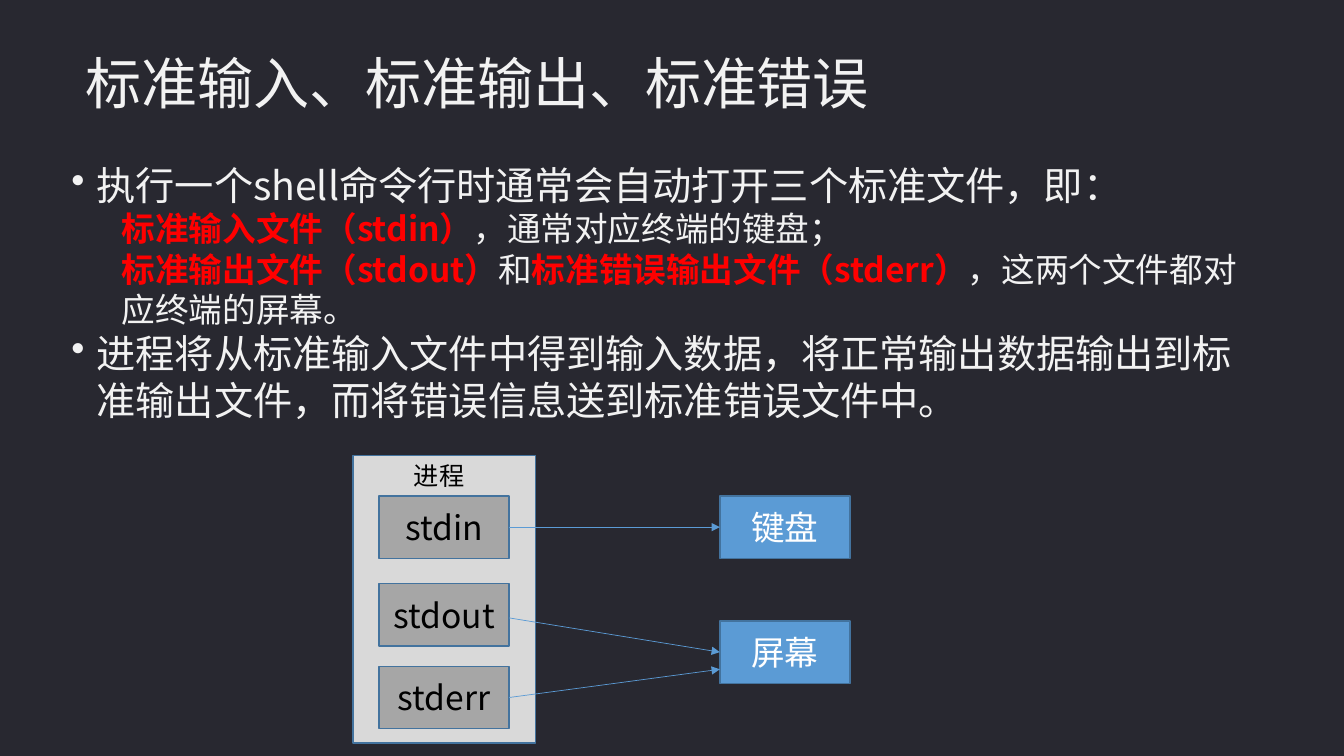
from pptx import Presentation
from pptx.dml.color import RGBColor
from pptx.enum.shapes import MSO_CONNECTOR, MSO_SHAPE
from pptx.enum.text import MSO_ANCHOR, PP_ALIGN
from pptx.oxml.ns import qn
from pptx.util import Inches, Pt
from lxml.etree import SubElement

FONT = "Noto Sans CJK SC"
COLORS = {
    "background": "282830", "light": "F2F2F2", "accent": "FF0000",
    "process": "D9D9D9", "stream": "A6A6A6", "device": "5B9BD5",
    "border": "43739E", "black": "000000", "white": "FFFFFF",
}
BOX_WIDTH, BOX_HEIGHT = 1.29, 0.62
STREAM_LEFT, DEVICE_LEFT = 3.76, 7.14


def color(name):
    return RGBColor.from_string(COLORS[name])


def style_paragraph(paragraph, size, color_name=None, align=PP_ALIGN.LEFT):
    paragraph.alignment = align
    font = paragraph.font
    font.name, font.size = FONT, Pt(size)
    if color_name:
        font.color.rgb = color(color_name)
    defaults = paragraph._p.pPr.find(qn("a:defRPr"))
    SubElement(defaults, qn("a:ea"), typeface=FONT)


def add_text_frame(slide, left, top, width, height):
    frame = slide.shapes.add_textbox(
        Inches(left), Inches(top), Inches(width), Inches(height)).text_frame
    frame.word_wrap = True
    return frame


def add_label(slide, text, left, top, width, height, size, color_name, align=PP_ALIGN.LEFT):
    paragraph = add_text_frame(slide, left, top, width, height).paragraphs[0]
    paragraph.text = text
    style_paragraph(paragraph, size, color_name, align)
    return paragraph


def add_body_paragraph(paragraph, runs, bulleted):
    """Each run is a text and whether it is highlighted."""
    style_paragraph(paragraph, 28 if bulleted else 24)
    paragraph.level = 0 if bulleted else 1
    properties = paragraph._p.pPr
    properties.set("marL", str(Inches(0.25 if bulleted else 0.5)))
    properties.set("indent", str(Inches(-0.25 if bulleted else 0)))
    if bulleted:
        bullet = SubElement(properties, qn("a:buChar"), char="•")
        properties.find(qn("a:defRPr")).addprevious(bullet)
    for text, highlighted in runs:
        run = paragraph.add_run()
        run.text = text
        run.font.bold = highlighted
        run.font.color.rgb = color("accent" if highlighted else "light")


def add_box(slide, left, top, width, height, fill, text="", text_color="black"):
    box = slide.shapes.add_shape(
        MSO_SHAPE.RECTANGLE, Inches(left), Inches(top), Inches(width), Inches(height))
    box.shadow.inherit = False
    box.fill.solid()
    box.fill.fore_color.rgb = color(fill)
    box.line.color.rgb = color("border")
    box.line.width = Pt(1)
    if text:
        box.text_frame.vertical_anchor = MSO_ANCHOR.MIDDLE
        paragraph = box.text_frame.paragraphs[0]
        paragraph.text = text
        style_paragraph(paragraph, 24, text_color, PP_ALIGN.CENTER)
    return box


def add_arrow(slide, start_y, end_y, source=None, target=None):
    """Arrow from a stream to a device, joined to the given boxes."""
    arrow = slide.shapes.add_connector(
        MSO_CONNECTOR.STRAIGHT, Inches(STREAM_LEFT + BOX_WIDTH), Inches(start_y),
        Inches(DEVICE_LEFT), Inches(end_y))
    if source is not None:
        arrow.begin_connect(source, 3)
    if target is not None:
        arrow.end_connect(target, 1)
    arrow.line.color.rgb = color("device")
    arrow.line.width = Pt(0.5)
    SubElement(arrow.line._get_or_add_ln(), qn("a:tailEnd"), type="triangle")
    SubElement(arrow._element.spPr, qn("a:effectLst"))


def add_body(slide):
    content = [
        (True, [("执行一个shell命令行时通常会自动打开三个标准文件，即：", False)]),
        (False, [("标准输入文件（stdin）", True), ("，通常对应终端的键盘；", False)]),
        (False, [("标准输出文件（stdout）", True), ("和", False),
                 ("标准错误输出文件（stderr）", True),
                 ("，这两个文件都对应终端的屏幕。", False)]),
        (True, [("进程将从标准输入文件中得到输入数据，将正常输出数据输出到标准输出文件，"
                 "而将错误信息送到标准错误文件中。", False)]),
    ]
    frame = add_text_frame(slide, 0.61, 1.55, 11.97, 3.02)
    for index, (bulleted, runs) in enumerate(content):
        paragraph = frame.add_paragraph() if index else frame.paragraphs[0]
        add_body_paragraph(paragraph, runs, bulleted)


def add_diagram(slide):
    # Process with its three streams
    add_box(slide, 3.5, 4.52, 1.81, 2.85, "process")
    stdin, stdout, stderr = [
        add_box(slide, STREAM_LEFT, top, BOX_WIDTH, BOX_HEIGHT, "stream", name)
        for name, top in (("stdin", 4.92), ("stdout", 5.79), ("stderr", 6.61))]
    # Devices
    keyboard, screen = [
        add_box(slide, DEVICE_LEFT, top, BOX_WIDTH, BOX_HEIGHT, "device", name, "white")
        for name, top in (("键盘", 4.92), ("屏幕", 6.16))]
    # Streams to devices
    add_arrow(slide, 5.23, 5.23, stdin, keyboard)
    add_arrow(slide, 6.13, 6.47, target=screen)
    add_arrow(slide, 6.92, 6.64, source=stderr)
    add_label(slide, "进程", 3.71, 4.52, 1.29, 0.4, 18, "black", PP_ALIGN.CENTER)


def main():
    presentation = Presentation()
    presentation.slide_width, presentation.slide_height = Inches(13.33), Inches(7.5)
    slide = presentation.slides.add_slide(presentation.slide_layouts[6])
    slide.background.fill.solid()
    slide.background.fill.fore_color.rgb = color("background")
    add_body(slide)
    title = add_label(slide, "标准输入、标准输出、标准错误", 0.75, 0.51, 10.95, 1.04, 40, "light")
    title.line_spacing = 0.9
    add_diagram(slide)
    presentation.save("out.pptx")


if __name__ == "__main__":
    main()
